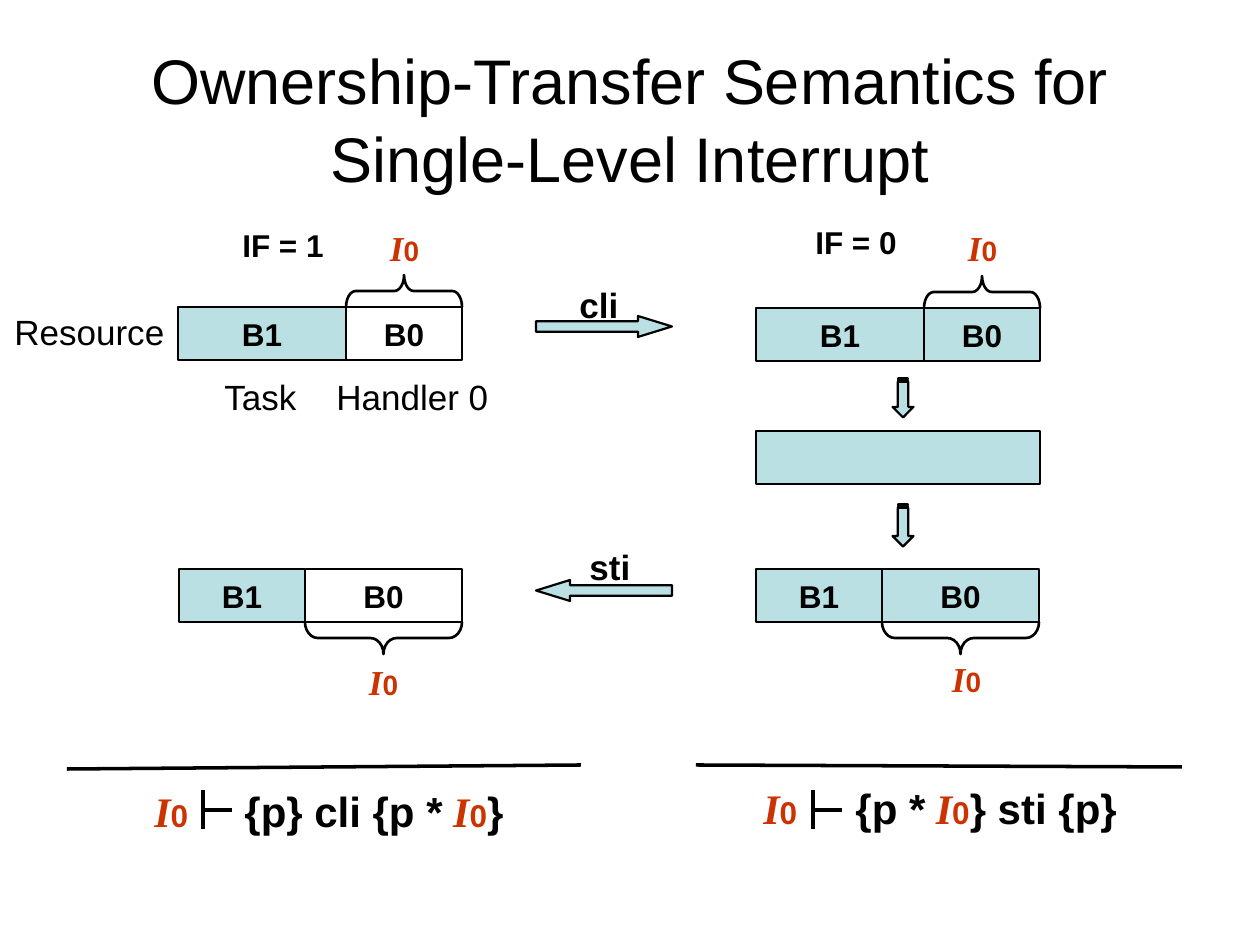
import pptx
import pptx.util
import pptx.dml.color
import pptx.enum.shapes
import pptx.enum.text
import pptx.oxml.ns
from lxml import etree

RGB = pptx.dml.color.RGBColor
BLACK = RGB(0x00, 0x00, 0x00)
WHITE = RGB(0xFF, 0xFF, 0xFF)
TEAL = RGB(0xBB, 0xE0, 0xE3)
RED = RGB(0xCC, 0x33, 0x00)

KIND = pptx.enum.shapes.MSO_SHAPE
ALIGN = pptx.enum.text.PP_ALIGN
MIDDLE = pptx.enum.text.MSO_ANCHOR.MIDDLE
qn = pptx.oxml.ns.qn
SCALE = 914400 / 126
ROW = 53
DEPTH = 32


def px(n):
    return pptx.util.Emu(round(n * SCALE))


def plain(text, size, bold=True):
    return text, size, BLACK, "Arial", bold, False


def symbol(size, sub, lead=""):
    return [
        (lead + "I", size, RED, "Times New Roman", True, True),
        ("0", sub, RED, "Arial", True, False),
    ]


def write(para, runs):
    for text, size, color, face, bold, slant in runs:
        run = para.add_run()
        run.text = text
        font = run.font
        font.size = pptx.util.Pt(size)
        font.name = face
        font.bold = bold
        font.italic = slant
        font.color.rgb = color


def add_text(slide, box, runs, align=ALIGN.LEFT, tab=None):
    frame = slide.shapes.add_textbox(*map(px, box)).text_frame
    frame.word_wrap = True
    para = frame.paragraphs[0]
    para.alignment = align
    if tab:
        stops = etree.SubElement(para._p.get_or_add_pPr(), qn("a:tabLst"))
        etree.SubElement(stops, qn("a:tab"), pos=str(px(tab)), algn="l")
    write(para, runs)
    return frame


def add_shape(slide, kind, box, fill=TEAL, width=1.25, turn=0):
    shape = slide.shapes.add_shape(kind, *map(px, box))
    shape.shadow.inherit = False
    shape.rotation = turn
    if fill is None:
        shape.fill.background()
    else:
        shape.fill.solid()
        shape.fill.fore_color.rgb = fill
    shape.line.color.rgb = BLACK
    shape.line.width = pptx.util.Pt(width)
    return shape


def add_block(slide, left, top, width, fill=TEAL, text=None):
    shape = add_shape(slide, KIND.RECTANGLE, (left, top, width, ROW), fill, 1.5)
    if text:
        frame = shape.text_frame
        frame.word_wrap = False
        frame.vertical_anchor = MIDDLE
        para = frame.paragraphs[0]
        para.alignment = ALIGN.CENTER
        write(para, [plain(text, 18)])


def add_brace(slide, left, top, span, turn):
    box = (left + (span - DEPTH) / 2, top + (DEPTH - span) / 2, DEPTH, span)
    brace = add_shape(slide, KIND.LEFT_BRACE, box, None, 1.5, turn)
    brace.adjustments[0] = span / 12 / DEPTH


def add_state(slide, left, top, split, fill, up, mark):
    first, second = split
    add_block(slide, left, top, first, TEAL, "B1")
    add_block(slide, left + first, top, second, fill, "B0")
    edge = top - DEPTH if up else top + ROW
    add_brace(slide, left + first, edge, second, 90 if up else 270)
    add_text(slide, (*mark, 105, 55), symbol(20, 16), ALIGN.CENTER)


def add_step(slide, top, text, spot, turn):
    arrow = add_shape(slide, KIND.RIGHT_ARROW, (536, top, 136, 21), turn=turn)
    arrow.adjustments[1] = 1.62
    add_text(slide, (*spot, 80, 55), [plain(text, 20)])


def add_drop(slide, top, size):
    box = (903 - size / 2, top + size / 2 - 11, size, 21)
    add_shape(slide, KIND.STRIPED_RIGHT_ARROW, box, turn=90)


def add_line(slide, start, end, width):
    line = slide.shapes.add_connector(
        pptx.enum.shapes.MSO_CONNECTOR.STRAIGHT, *map(px, start + end))
    line.line.color.rgb = BLACK
    line.line.width = pptx.util.Pt(width)
    etree.SubElement(line._element.spPr, qn("a:effectLst"))


def add_rule(slide, start, end, spot, stem, tab, before, after):
    add_line(slide, start, end, 2)
    runs = [*symbol(24, 18), plain("\t" + before, 24),
            *symbol(24, 18, " "), plain(after, 24)]
    add_text(slide, (*spot, 400, 63), runs, tab=tab)
    add_line(slide, (stem, 790), (stem, 829), 2.5)
    add_line(slide, (stem, 810), (stem + 29, 810), 2.5)


def main():
    deck = pptx.Presentation()
    deck.slide_width = px(1260)
    deck.slide_height = px(945)
    slide = deck.slides.add_slide(deck.slide_layouts[6])

    title = add_text(
        slide, (63, 38, 1134, 158),
        [plain("Ownership-Transfer Semantics for Single-Level Interrupt", 36, False)],
        ALIGN.CENTER)
    title.vertical_anchor = MIDDLE
    title.paragraphs[0].line_spacing = 1.04

    upper, lower = (168, 116), (126, 157)
    add_state(slide, 178, 307, upper, WHITE, True, (352, 220))
    add_state(slide, 756, 308, upper, TEAL, True, (930, 220))
    add_block(slide, 756, 431, 284)
    add_state(slide, 179, 569, lower, None, False, (331, 654))
    add_state(slide, 756, 569, lower, TEAL, False, (914, 651))

    add_drop(slide, 379, 39)
    add_drop(slide, 505, 42)
    add_step(slide, 316, "cli", (567, 277), 0)
    add_step(slide, 580, "sti", (577, 539), 180)

    for left, top, text in ((220, 220, "IF = 1"), (793, 217, "IF = 0")):
        add_text(slide, (left, top, 126, 50), [plain(text, 18)], ALIGN.CENTER)
    for left, top, text in ((2, 304, "Resource"), (324, 369, "Handler 0"),
                            (212, 369, "Task")):
        add_text(slide, (left, top, 190, 55), [plain(text, 20, False)])

    add_rule(slide, (67, 769), (581, 765), (142, 779), 203, 90,
             "{p} cli {p *", "}")
    add_rule(slide, (696, 765), (1182, 767), (751, 776), 813, 92,
             "{p *", "} sti {p}")

    deck.save("out.pptx")


if __name__ == "__main__":
    main()
